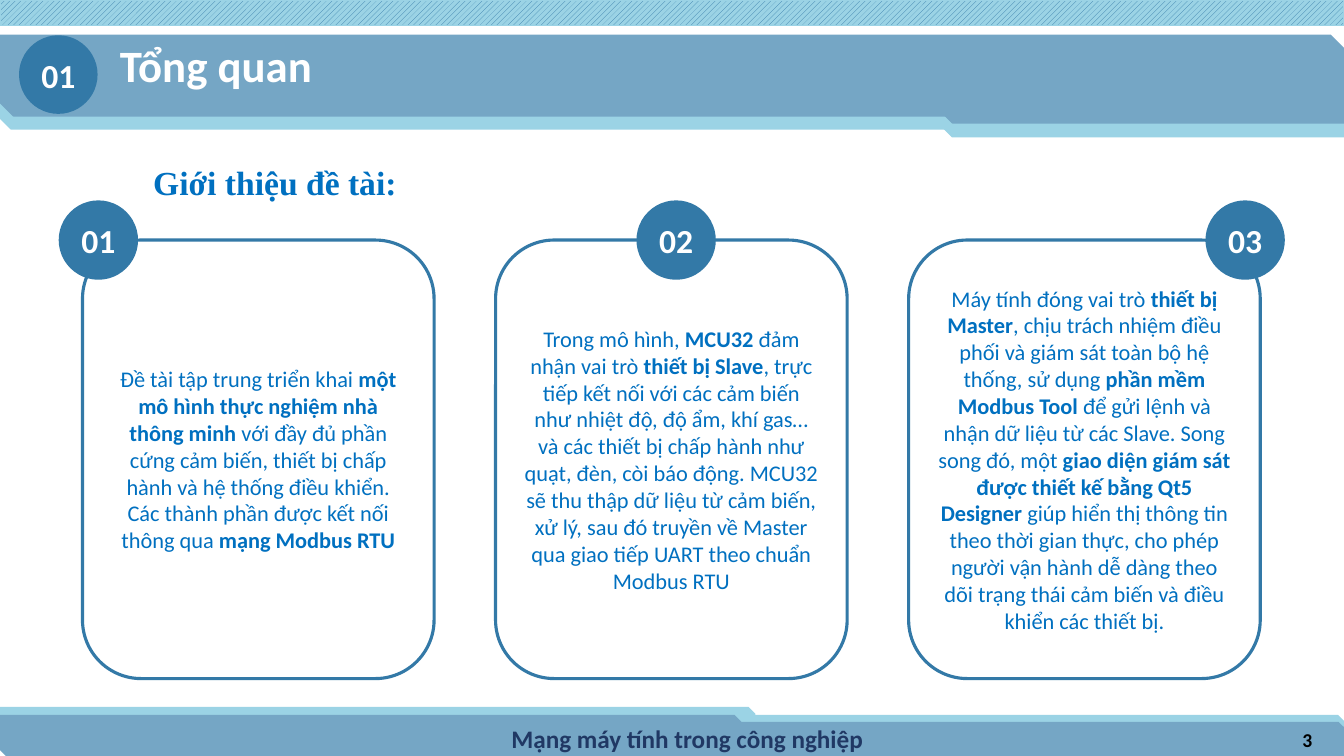
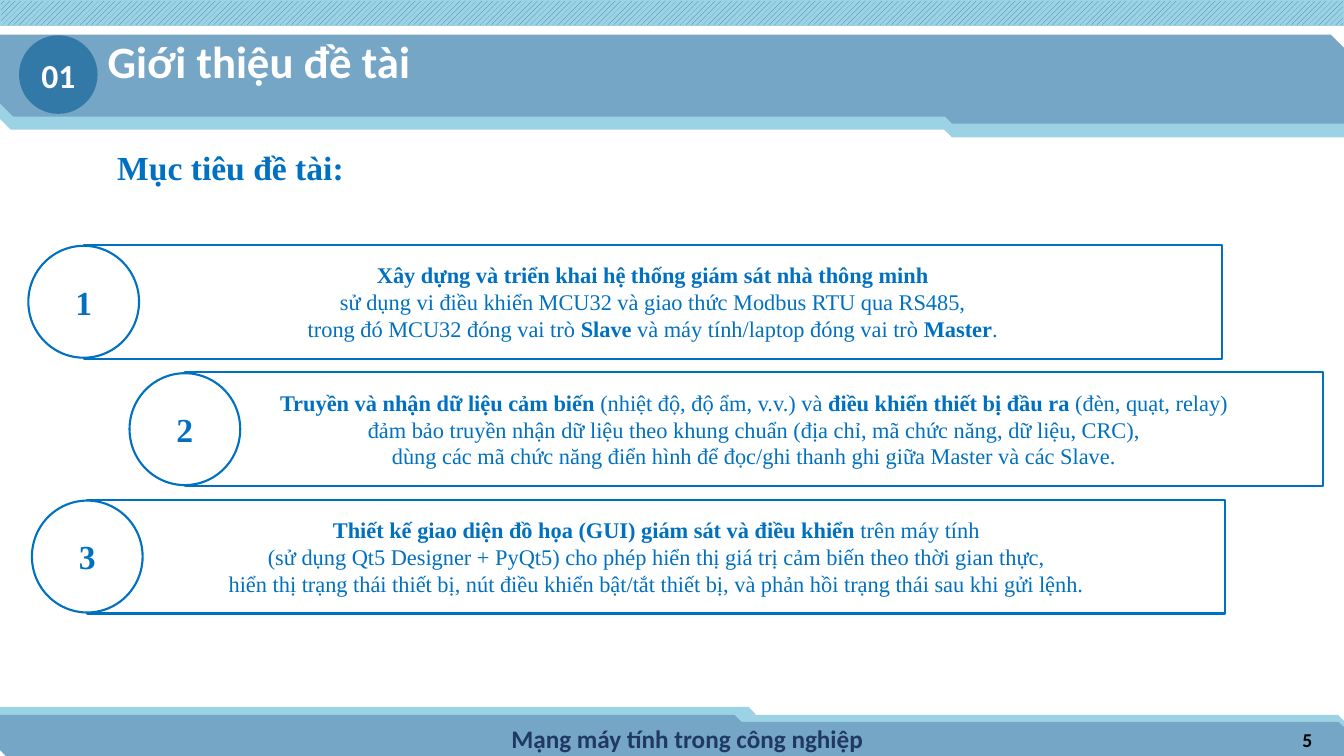
from pptx import Presentation
from pptx.dml.color import RGBColor
from pptx.enum.dml import MSO_PATTERN
from pptx.enum.shapes import MSO_SHAPE
from pptx.enum.text import MSO_ANCHOR, MSO_AUTO_SIZE, PP_ALIGN
from pptx.util import Cm, Pt

RECTANGLE = MSO_SHAPE.RECTANGLE
ROUNDED = MSO_SHAPE.ROUNDED_RECTANGLE
ELLIPSE = MSO_SHAPE.OVAL
SNIPPED = MSO_SHAPE.SNIP_2_DIAG_RECTANGLE
DIAGONAL = MSO_PATTERN.WIDE_UPWARD_DIAGONAL
TOP, MIDDLE = MSO_ANCHOR.TOP, MSO_ANCHOR.MIDDLE
LEFT, CENTER, RIGHT = PP_ALIGN.LEFT, PP_ALIGN.CENTER, PP_ALIGN.RIGHT

WHITE = RGBColor(0xFF, 0xFF, 0xFF)
BLACK = RGBColor(0x00, 0x00, 0x00)
LIGHT = RGBColor(0x9B, 0xD3, 0xE5)
MEDIUM = RGBColor(0x75, 0xA6, 0xC5)
DARK = RGBColor(0x33, 0x79, 0xA7)
NAVY = RGBColor(0x20, 0x38, 0x64)
BLUE = RGBColor(0x00, 0x70, 0xC0)

SANS, SERIF = "Calibri", "Times New Roman"
WIDTH, HEIGHT = 33.87, 19.05

BANDS = [
    ((14.27, 18.03, 19.6, 0.97), LIGHT, 1),
    ((0, 17.83, 19.02, 0.97), LIGHT, 1),
    ((15.82, 18.21, 18.05, 0.84), MEDIUM, 1),
    ((0, 18.03, 18.67, 1.02), MEDIUM, 1),
    ((23.67, 1.47, 10.2, 1.98), LIGHT, 0.75),
    ((0, 1.57, WIDTH, 1.68), LIGHT, 1),
    ((0, 0.89, WIDTH, 2.03), MEDIUM, 1),
    ((23.67, 1.12, 10.2, 1.98), MEDIUM, 0.75),
]

CARDS = [
    ("01", 0.4, "Đề tài tập trung triển khai **một mô hình thực nghiệm nhà thông minh** "
     "với đầy đủ phần cứng cảm biến, thiết bị chấp hành và hệ thống điều khiển. "
     "Các thành phần được kết nối thông qua **mạng Modbus RTU**"),
    ("02", 4.55, "Trong mô hình, **MCU32** đảm nhận vai trò **thiết bị Slave**, trực tiếp "
     "kết nối với các cảm biến như nhiệt độ, độ ẩm, khí gas… và các thiết bị chấp hành "
     "như quạt, đèn, còi báo động. MCU32 sẽ thu thập dữ liệu từ cảm biến, xử lý, sau đó "
     "truyền về Master qua giao tiếp UART theo chuẩn Modbus RTU"),
    ("03", 8.48, "Máy tính đóng vai trò **thiết bị Master**, chịu trách nhiệm điều phối và "
     "giám sát toàn bộ hệ thống, sử dụng **phần mềm Modbus Tool** để gửi lệnh và nhận "
     "dữ liệu từ các Slave. Song song đó, một **giao diện giám sát được thiết kế bằng "
     "Qt5 Designer** giúp hiển thị thông tin theo thời gian thực, cho phép người vận "
     "hành dễ dàng theo dõi trạng thái cảm biến và điều khiển các thiết bị."),
]

GOALS = [
    (2.11, ["**Xây dựng và triển khai hệ thống giám sát nhà thông minh**",
            "sử dụng vi điều khiển MCU32 và giao thức Modbus RTU qua RS485,",
            "trong đó MCU32 đóng vai trò **Slave** và máy tính/laptop đóng vai trò "
            "**Master**."]),
    (4.66, ["**Truyền và nhận dữ liệu cảm biến** (nhiệt độ, độ ẩm, v.v.) và "
            "**điều khiển thiết bị đầu ra** (đèn, quạt, relay)",
            "đảm bảo truyền nhận dữ liệu theo khung chuẩn (địa chỉ, mã chức năng, "
            "dữ liệu, CRC),",
            "dùng các mã chức năng điển hình để đọc/ghi thanh ghi giữa Master và các "
            "Slave."]),
    (2.2, ["**Thiết kế giao diện đồ họa (GUI) giám sát và điều khiển** trên máy tính",
           "(sử dụng Qt5 Designer + PyQt5) cho phép hiển thị giá trị cảm biến theo "
           "thời gian thực,",
           "hiển thị trạng thái thiết bị, nút điều khiển bật/tắt thiết bị, và phản hồi "
           "trạng thái sau khi gửi lệnh."]),
]


def lengths(box):
    """Turn a box in centimetres into lengths."""
    return [Cm(value) for value in box]


def write(shape, lines, size, color, font=SANS, align=CENTER, anchor=MIDDLE, inset=0.13):
    """Fill a shape with paragraphs in which ** marks bold passages."""
    frame = shape.text_frame
    frame.word_wrap = True
    frame.auto_size = MSO_AUTO_SIZE.NONE
    frame.vertical_anchor = anchor
    frame.margin_left = frame.margin_right = Cm(0.25)
    frame.margin_top = frame.margin_bottom = Cm(inset)
    for index, line in enumerate(lines):
        paragraph = frame.add_paragraph() if index else frame.paragraphs[0]
        paragraph.alignment = align
        paragraph.font.size = Pt(size)
        paragraph.font.name = font
        paragraph.font.color.rgb = color
        for part, text in enumerate(line.split("**")):
            if text:
                run = paragraph.add_run()
                run.text = text
                run.font.bold = part % 2 == 1


def add_panel(slide, kind, box, fill, line=None, weight=1):
    """Add a filled preset shape without a shadow."""
    shape = slide.shapes.add_shape(kind, *lengths(box))
    shape.shadow.inherit = False
    shape.fill.solid()
    shape.fill.fore_color.rgb = fill
    if line is None:
        shape.line.fill.background()
    else:
        shape.line.color.rgb = line
        shape.line.width = Pt(weight)
    return shape


def add_label(slide, box, text, size, color, font=SANS, align=CENTER, anchor=MIDDLE):
    """Add a bold line of text in a text box."""
    label = slide.shapes.add_textbox(*lengths(box))
    write(label, [f"**{text}**"], size, color, font, align, anchor)
    return label


def add_badge(slide, center_x, center_y, text, diameter=2):
    """Add a dark numbered disc around a centre point."""
    box = (center_x - diameter / 2, center_y - diameter / 2, diameter, diameter)
    badge = add_panel(slide, ELLIPSE, box, DARK)
    write(badge, [f"**{text}**"], 24, WHITE, inset=0.25)


def build_layout(layout, slide):
    """Draw the shared bands and footer, and move them to the layout."""
    parts = [add_panel(slide, SNIPPED, box, color, color, weight)
             for box, color, weight in BANDS]
    strip = add_panel(slide, RECTANGLE, (0, 0, WIDTH, 0.64), LIGHT, LIGHT)
    strip.fill.patterned()
    strip.fill.pattern = DIAGONAL
    strip.fill.fore_color.rgb = DARK
    strip.fill.back_color.rgb = LIGHT
    footer = add_label(slide, (10.26, 18.11, 14.12, 1.02),
                       "Mạng máy tính trong công nghiệp", 18, NAVY)
    for number, part in enumerate(parts + [strip, footer], start=100):
        part.element.nvSpPr.cNvPr.set("id", str(number))
        layout.shapes.element.append(part.element)


def fill_header(slide, title_at, title, heading_at, heading, page):
    """Set the title, section badge, heading and page number."""
    shape = slide.shapes.title
    shape.left, shape.top, shape.width, shape.height = lengths((*title_at, 15.57, 1.98))
    write(shape, [f"**{title}**"], 32, WHITE, align=LEFT, anchor=TOP, inset=0.25)
    add_badge(slide, 1.47, 1.88, "01", 1.98)
    add_label(slide, (*heading_at, 7.26, 1.27), heading, 24, BLUE, SERIF, anchor=TOP)
    add_label(slide, (25.7, 18.14, 7.62, 1.02), page, 14, BLACK, align=RIGHT)


def add_cards(slide, left, top, width, height, gap):
    """Add the row of cards, then a badge on each top edge."""
    lefts = [left + index * (width + gap) for index in range(len(CARDS))]
    for card_left, (_, _, text) in zip(lefts, CARDS):
        card = add_panel(slide, ROUNDED, (card_left, top, width, height), WHITE, DARK, 2.25)
        write(card, [text], 16, BLUE)
    for card_left, (number, offset, _) in zip(lefts, CARDS):
        add_badge(slide, card_left + offset, top, number)


def add_goals(slide, top, width, height, gap):
    """Add the goal bars, each with a numbered circle on its left edge."""
    circle_width, circle_height = 2.79, 2.82
    for index, (left, lines) in enumerate(GOALS):
        bar_top = top + index * (height + gap)
        bar = add_panel(slide, RECTANGLE, (left, bar_top, width, height), WHITE, BLUE, 1.5)
        write(bar, lines, 16, BLUE, SERIF)
        box = (left - circle_width / 2, bar_top + (height - circle_height) / 2,
               circle_width, circle_height)
        circle = add_panel(slide, ELLIPSE, box, WHITE, BLUE, 1.5)
        write(circle, [f"**{index + 1}**"], 24, BLUE, SERIF)


def main():
    """Build both slides and save the presentation."""
    presentation = Presentation()
    presentation.slide_width, presentation.slide_height = Cm(WIDTH), Cm(HEIGHT)
    layout = presentation.slide_layouts.get_by_name("Title Only")

    overview = presentation.slides.add_slide(layout)
    build_layout(layout, overview)
    fill_header(overview, (2.77, 0.71), "Tổng quan",
                (3.3, 3.94), "Giới thiệu đề tài:", "3")
    add_cards(overview, 2.08, 6.05, 8.86, 11.05, 1.55)

    goals = presentation.slides.add_slide(layout)
    fill_header(goals, (2.46, 0.61), "Giới thiệu đề tài",
                (2.18, 3.58), "Mục tiêu đề tài:", "5")
    add_goals(goals, 6.17, 28.68, 2.87, 0.34)

    presentation.save("out.pptx")


if __name__ == "__main__":
    main()
